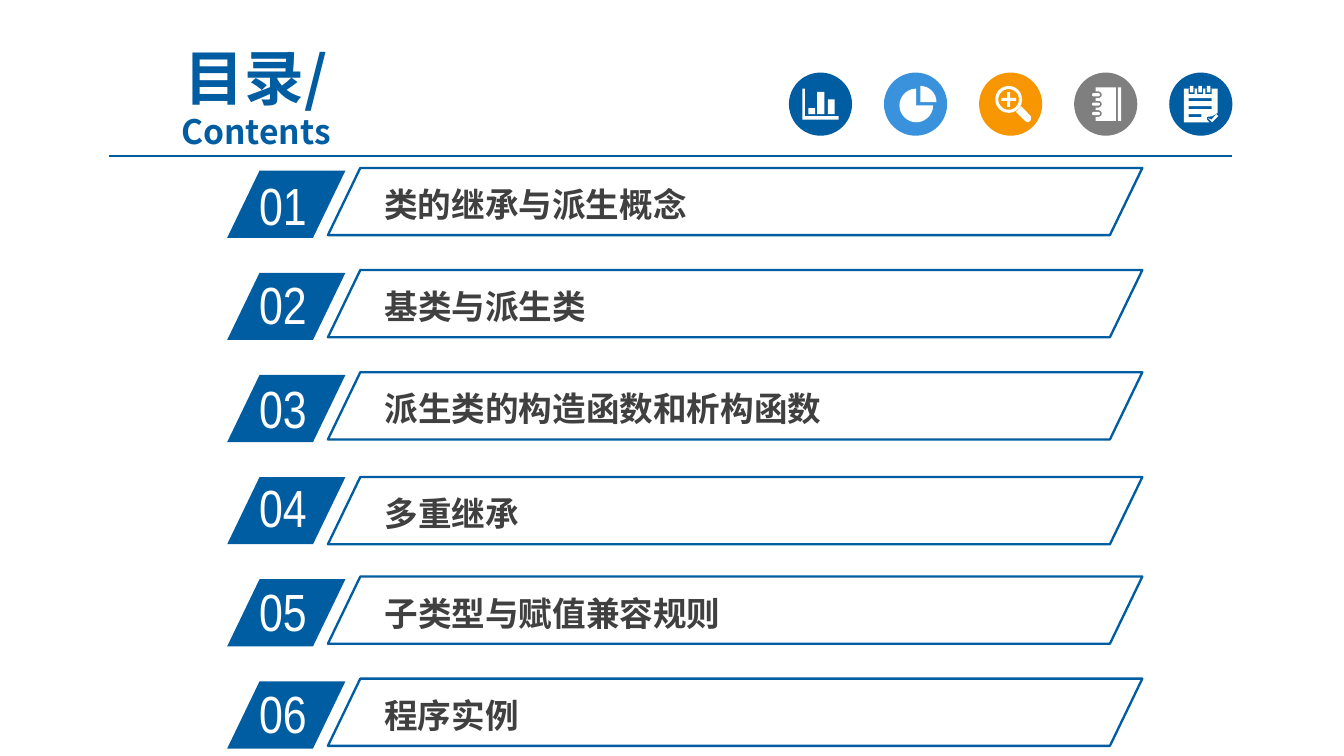
from math import cos, radians, sin

from lxml.etree import SubElement
from pptx import Presentation
from pptx.dml.color import RGBColor
from pptx.enum.shapes import MSO_CONNECTOR, MSO_SHAPE
from pptx.enum.text import MSO_ANCHOR, PP_ALIGN
from pptx.oxml.ns import qn
from pptx.util import Inches, Pt

THEME = {
    "blue": "005DA2", "rule": "005B9E", "sky": "3992DB", "orange": "F79600",
    "grey": "7F7F7F", "ink": "404040", "white": "FFFFFF",
    "heading_font": "Noto Sans CJK SC", "number_font": "Arial Narrow",
    "title_size": 32, "body_size": 18, "number_size": 28,
}
TITLE = [("目录/", "title_size"), ("Contents", "body_size")]
# title, width of its text box, small shifts of the number and of the panel
CHAPTERS = [
    ("类的继承与派生概念", 5.53, 0.01, 0),
    ("基类与派生类", 5.02, -0.01, 0),
    ("派生类的构造函数和析构函数", 4.91, 0, 0),
    ("多重继承", 4.91, -0.02, 0.02),
    ("子类型与赋值兼容规则", 4.91, -0.01, 0),
    ("程序实例", 5.6, -0.01, 0),
]
SLIDE_WIDTH = 10
SLIDE_HEIGHT = SLIDE_WIDTH * 9 / 16
FIRST_ROW, ROW_PITCH, ROW_HEIGHT = 1.27, 0.76, 0.5
TAB_LEFT, TAB_WIDTH = 1.69, 0.88
PANEL_LEFT, PANEL_WIDTH = 2.44, 6.06
SLANT = 0.482
BADGE_LEFT, BADGE_RIGHT, BADGE_TOP, BADGE_SIZE = 5.87, 8.7, 0.54, 0.47


# Icon outlines are in thousandths of an inch from the badge's top left corner.
def block(left, top, width, height):
    right, bottom = left + width, top + height
    return [(left, top), (right, top), (right, bottom), (left, bottom)]


def arc(x, y, radius, start=0, end=360):
    """Points along an arc, in degrees clockwise from the right."""
    steps = 36
    angles = [radians(start + (end - start) * i / steps) for i in range(steps + 1)]
    return [(x + radius * cos(a), y + radius * sin(a)) for a in angles]


def bar_icon():
    axes = [(100, 120), (120, 120), (120, 325), (370, 325), (370, 350), (100, 350)]
    return [axes, block(145, 265, 50, 45), block(210, 145, 55, 165), block(290, 200, 50, 110)]


def pie_icon():
    return [[(240, 245)] + arc(240, 245, 125, 0, 270),
            [(270, 220)] + arc(270, 220, 120, 270, 360)]


def zoom_icon():
    x, y, arm, half = 220, 200, 55, 11
    plus = [(x - half, y - arm), (x + half, y - arm), (x + half, y - half),
            (x + arm, y - half), (x + arm, y + half), (x + half, y + half),
            (x + half, y + arm), (x - half, y + arm), (x - half, y + half),
            (x - arm, y + half), (x - arm, y - half), (x - half, y - half)]
    handle = [(275, 293), (313, 251), (385, 325), (385, 355), (365, 370), (345, 363)]
    return [arc(x, y, 100), arc(x, y, 77), plus, handle]


def notebook_icon():
    rings = (305, 235, 165)
    cover = [(160, 110), (310, 110), (310, 360), (160, 360)]
    for y in rings:
        cover += [(160, y + 25), (180, y + 25)] + arc(180, y, 25, 90, -90) + [(160, y - 25)]
    pills = [arc(145, y, 12, 90, 270) + arc(180, y, 12, -90, 90) for y in rings]
    return [cover, block(325, 110, 25, 250)] + pills


def notepad_icon():
    sheet = [(110, 120), (360, 120), (360, 300), (320, 325), (280, 330), (280, 350),
             (300, 370), (110, 370)]
    lines = [block(145, 190, 170, 22), block(145, 250, 170, 22), block(145, 310, 95, 22)]
    rings = []
    for x in (167, 230, 293):
        rings += [block(x - 23, 120, 46, 40), block(x - 13, 100, 26, 48)]
    check = [(290, 340), (315, 350), (350, 310), (365, 325), (320, 370)]
    return [sheet, check] + lines + rings


BADGES = [("blue", bar_icon), ("sky", pie_icon), ("orange", zoom_icon),
          ("grey", notebook_icon), ("blue", notepad_icon)]


def color(name):
    return RGBColor.from_string(THEME[name])


def paint(shape, fill=None, line=None, width=1.25):
    shape.shadow.inherit = False
    if fill:
        shape.fill.solid()
        shape.fill.fore_color.rgb = color(fill)
    else:
        shape.fill.background()
    if line:
        shape.line.color.rgb = color(line)
        shape.line.width = Pt(width)
    else:
        shape.line.fill.background()


def add_preset(page, kind, *place, **look):
    shape = page.shapes.add_shape(kind, *map(Inches, place))
    if kind == MSO_SHAPE.PARALLELOGRAM:
        shape.adjustments[0] = SLANT
    paint(shape, **look)


def add_text(page, place, spans, font, ink, bold=False):
    """Add a text box with one line per (text, size name) span."""
    box = page.shapes.add_textbox(*map(Inches, place))
    box.text_frame.word_wrap = True
    para = box.text_frame.paragraphs[0]
    for index, (text, size) in enumerate(spans):
        if index:
            para.add_line_break()
        span = para.add_run()
        span.text = text
        span.font.size = Pt(THEME[size])
    para.font.name = THEME[font]
    para.font.bold = bold
    para.font.color.rgb = color(ink)
    defaults = para._p.find(".//" + qn("a:defRPr"))
    SubElement(defaults, qn("a:ea")).set("typeface", THEME[font])
    return box.text_frame


def add_icon(page, left, top, outlines):
    first, *others = outlines
    builder = page.shapes.build_freeform(*first[0], scale=Inches(1) / 1000)
    builder.add_line_segments(first[1:], close=True)
    for outline in others:
        builder.move_to(*outline[0])
        builder.add_line_segments(outline[1:], close=True)
    paint(builder.convert_to_shape(Inches(left), Inches(top)), fill="white")


def add_header(page):
    frame = add_text(page, (0.67, 0.47, 2.47, 0.54), TITLE, "heading_font", "blue", True)
    frame.vertical_anchor = MSO_ANCHOR.MIDDLE
    para = frame.paragraphs[0]
    para.alignment = PP_ALIGN.CENTER
    para.line_spacing = 0.95
    para.space_before = Pt(6)

    rule = page.shapes.add_connector(
        MSO_CONNECTOR.STRAIGHT, *map(Inches, (0.81, 1.16, 9.17, 1.16)))
    rule.line.color.rgb = color("rule")
    rule.line.width = Pt(0.75)
    SubElement(rule._element.spPr, qn("a:effectLst"))

    pitch = (BADGE_RIGHT - BADGE_LEFT) / (len(BADGES) - 1)
    for index, (fill, icon) in enumerate(BADGES):
        left = BADGE_LEFT + index * pitch
        add_preset(page, MSO_SHAPE.OVAL, left, BADGE_TOP, BADGE_SIZE, BADGE_SIZE, fill=fill)
        add_icon(page, left, BADGE_TOP, icon())


def add_chapter(page, index, title, width, number_shift, panel_shift):
    top = FIRST_ROW + index * ROW_PITCH
    panel_top = top - 0.02 + panel_shift
    add_preset(page, MSO_SHAPE.PARALLELOGRAM, TAB_LEFT, top, TAB_WIDTH, ROW_HEIGHT, fill="blue")
    add_text(page, (TAB_LEFT + 0.14, top - 0.04 + number_shift, 0.84, 0.57),
             [(f"{index + 1:02}", "number_size")], "number_font", "white")
    frame = add_text(page, (PANEL_LEFT + 0.35, panel_top + 0.08, width, 0.38),
                     [(title, "body_size")], "heading_font", "ink", True)
    frame.margin_left = frame.margin_right = Inches(0.07)
    frame.margin_top = frame.margin_bottom = Inches(0.04)
    add_preset(page, MSO_SHAPE.PARALLELOGRAM, PANEL_LEFT, panel_top, PANEL_WIDTH, ROW_HEIGHT,
               line="blue")


def main():
    deck = Presentation()
    deck.slide_width, deck.slide_height = Inches(SLIDE_WIDTH), Inches(SLIDE_HEIGHT)
    page = deck.slides.add_slide(deck.slide_layouts[6])
    add_header(page)
    for index, chapter in enumerate(CHAPTERS):
        add_chapter(page, index, *chapter)
    deck.save("out.pptx")


if __name__ == "__main__":
    main()
